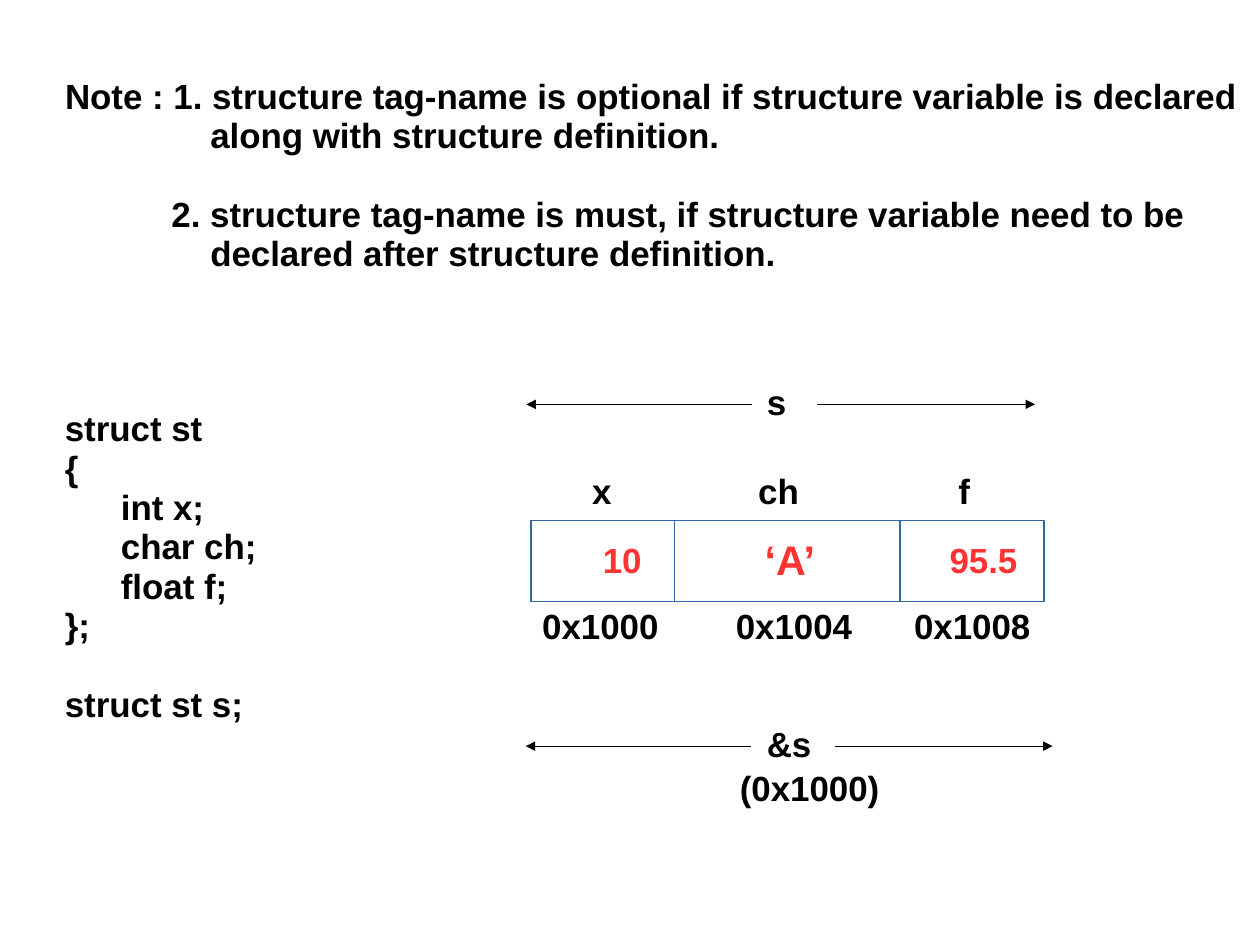
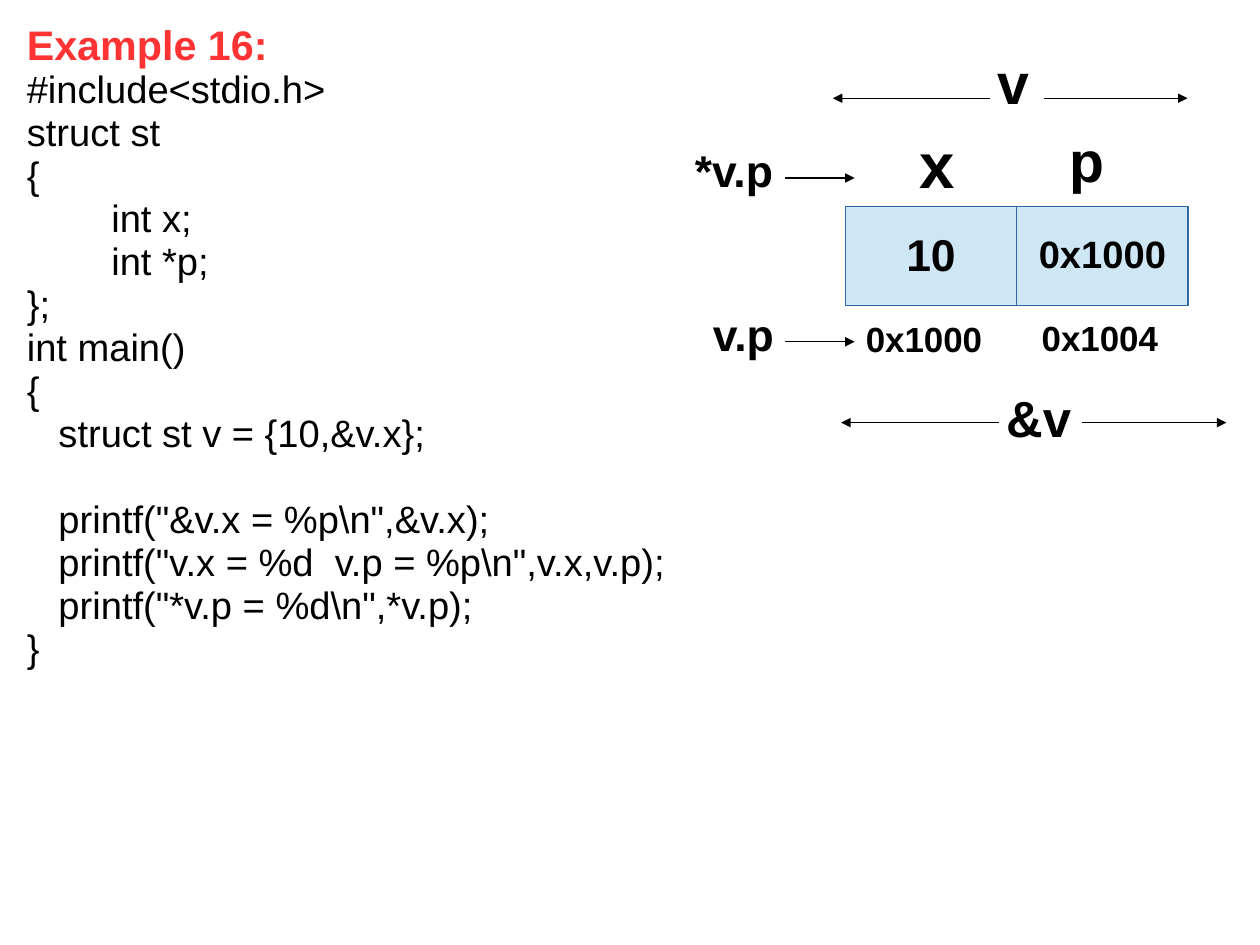
import pptx
import pptx.dml.color
import pptx.enum.shapes
import pptx.enum.text
import pptx.oxml.ns
import pptx.util
from lxml import etree

Pt = pptx.util.Pt
ANCHOR = pptx.enum.text.MSO_ANCHOR
ALIGN = pptx.enum.text.PP_ALIGN
qn = pptx.oxml.ns.qn

COLORS = {"text": "000000", "accent": "FF3333", "border": "3465A4",
          "plain": "FFFFFF", "tint": "CFE7F5"}
FONT = "Arial"
LINE_SPACING = 0.94


def rgb(name):
    return pptx.dml.color.RGBColor.from_string(COLORS[name])


def write(frame, lines, size, color="text", bold=True, align=ALIGN.LEFT,
          anchor=ANCHOR.TOP, inset=7.2):
    """Fill a frame with (text, left margin, first-line indent, space before) lines."""
    frame.word_wrap = True
    frame.auto_size = pptx.enum.text.MSO_AUTO_SIZE.NONE
    frame.vertical_anchor = anchor
    frame.margin_left, frame.margin_right = Pt(inset), Pt(0)
    frame.margin_top = frame.margin_bottom = Pt(3.6)
    for number, (text, margin, indent, gap) in enumerate(lines):
        paragraph = frame.add_paragraph() if number else frame.paragraphs[0]
        properties = paragraph._p.get_or_add_pPr()
        properties.set("marL", str(int(Pt(margin))))
        properties.set("indent", str(int(Pt(indent))))
        etree.SubElement(properties, qn("a:buNone"))
        paragraph.alignment = align
        paragraph.line_spacing = LINE_SPACING
        paragraph.space_before, paragraph.space_after = Pt(gap), Pt(0)
        for part, piece in enumerate(text.split("\n")):
            if part:
                paragraph.add_line_break()
            run = paragraph.add_run()
            run.text = piece
            run.font.name, run.font.size, run.font.bold = FONT, Pt(size), bold
            run.font.color.rgb = rgb(color)


deck = pptx.Presentation()
deck.slide_width, deck.slide_height = Pt(793.75), Pt(595.25)
content_layout = deck.slide_layouts[1]

# Slide 1: notes on the tag name
notes_slide = deck.slides.add_slide(content_layout)
empty_title = notes_slide.shapes.title._element
empty_title.getparent().remove(empty_title)
notes = notes_slide.placeholders[1]
notes.left, notes.top, notes.width, notes.height = Pt(33.8), Pt(45.4), Pt(756), Pt(132.5)
write(notes.text_frame, [
    ("Note : 1. structure tag-name is optional if structure variable is declared\n"
     "along with structure definition.", 91.5, -91.5, 0),
    ("2. structure tag-name is must, if structure variable need to be\n"
     "declared after structure definition.", 91.5, -24.5, 24.6),
], 22)

struct_code = notes_slide.shapes.add_textbox(Pt(33.8), Pt(254.9), Pt(135.4), Pt(207.4))
write(struct_code.text_frame, [
    ("struct st", 0, 0, 0),
    ("{", 0, 0, 0),
    ("int x;", 35.3, 0, 0),
    ("char ch;", 35.3, 0, 0),
    ("float f;", 35.3, 0, 0),
    ("};", 0, 0, 0),
    ("struct st s;", 0, 0, 24.6),
], 22)

# Slide 2: example program
example_slide = deck.slides.add_slide(content_layout)
heading = example_slide.shapes.title
heading.left, heading.top, heading.width, heading.height = Pt(9.7), Pt(11), Pt(455), Pt(35)
write(heading.text_frame, [("Example 16:", 0, 0, 0)], 26, "accent")

program = example_slide.placeholders[1]
program.left, program.top, program.width, program.height = Pt(9.7), Pt(40.2), Pt(455), Pt(422)
write(program.text_frame, [
    ("#include<stdio.h>", 0, 0, 0),
    ("struct st", 0, 0, 0),
    ("{", 0, 0, 0),
    ("        int x;", 0, 0, 0),
    ("        int *p;", 0, 0, 0),
    ("};", 0, 0, 0),
    ("int main()", 0, 0, 0),
    ("{", 0, 0, 0),
    ("   struct st v = {10,&v.x};", 0, 0, 0),
    ('   printf("&v.x = %p\\n",&v.x);', 0, 0, 27.1),
    ('   printf("v.x = %d  v.p = %p\\n",v.x,v.p);', 0, 0, 0),
    ('   printf("*v.p = %d\\n",*v.p);', 0, 0, 0),
    ("}", 0, 0, 0),
], 24, bold=False)

# Memory diagrams
diagrams = [
    {"slide": notes_slide, "origin": (334.5, 328), "height": 51.1,
     "fill": "plain", "color": "accent", "align": ALIGN.LEFT,
     # value, width, size, left inset
     "cells": [("10", 90.7, 22, 45.3), ("‘A’", 141.8, 26, 56.5), ("95.5", 90.7, 22, 31.2)],
     # text, left, top, width, size
     "labels": [("s", 476, 238.3, 27, 22),
                ("x", 366, 294.2, 36, 22), ("ch", 470.6, 294.2, 72, 22),
                ("f", 596.7, 294.5, 36, 22),
                ("0x1000", 334.5, 379.4, 88, 22), ("0x1004", 456.5, 379.4, 88, 22),
                ("0x1008", 568.8, 379.4, 88, 22),
                ("&s", 476, 453.6, 43, 22), ("(0x1000)", 459, 481.4, 102, 22)],
     # start, end, height on the slide
     "arrows": [(514.8, 652, 254.7), (473.8, 331.6, 254.7),
                (526.3, 663.1, 470), (473, 331.2, 470)]},
    {"slide": example_slide, "origin": (532.5, 130), "height": 62.6,
     "fill": "tint", "color": "text", "align": ALIGN.CENTER,
     "cells": [("10", 108, 28, 0), ("0x1000", 108, 24, 0)],
     "labels": [("v", 621, 29.5, 35, 36),
                ("x", 572.4, 79.2, 37, 40), ("p", 666.7, 78.9, 56, 36),
                ("0x1000", 538.4, 198.7, 88, 22), ("0x1004", 649.2, 198, 88, 22),
                ("&v", 626.8, 243.4, 55, 32),
                ("*v.p", 430.6, 89.3, 63, 28), ("v.p", 442.1, 192.7, 53, 28)],
     "arrows": [(657.4, 748.1, 61.9), (623.5, 524.7, 61.9),
                (681.8, 772.6, 266.2), (629.3, 529.9, 266.2),
                (494.6, 538.4, 112.1), (494.6, 538.4, 215.3)]},
]

for diagram in diagrams:
    shapes = diagram["slide"].shapes
    left, top = diagram["origin"]
    for value, width, size, inset in diagram["cells"]:
        cell = shapes.add_shape(pptx.enum.shapes.MSO_SHAPE.RECTANGLE,
                                Pt(left), Pt(top), Pt(width), Pt(diagram["height"]))
        cell.shadow.inherit = False
        cell.fill.solid()
        cell.fill.fore_color.rgb = rgb(diagram["fill"])
        cell.line.color.rgb = rgb("border")
        cell.line.width = Pt(0.75)
        write(cell.text_frame, [(value, 0, 0, 0)], size, diagram["color"],
              align=diagram["align"], anchor=ANCHOR.MIDDLE, inset=inset)
        left += width

    for text, left, top, width, size in diagram["labels"]:
        label = shapes.add_textbox(Pt(left), Pt(top), Pt(width), Pt(size * 1.2 + 7.2))
        write(label.text_frame, [(text, 0, 0, 0)], size)

    for start, end, level in diagram["arrows"]:
        arrow = shapes.add_connector(pptx.enum.shapes.MSO_CONNECTOR.STRAIGHT,
                                     Pt(start), Pt(level), Pt(end), Pt(level))
        arrow.line.color.rgb = rgb("text")
        arrow.line.width = Pt(0.75)
        etree.SubElement(arrow.line._get_or_add_ln(), qn("a:tailEnd"), type="triangle")
        etree.SubElement(arrow._element.spPr, qn("a:effectLst"))

deck.save("out.pptx")
